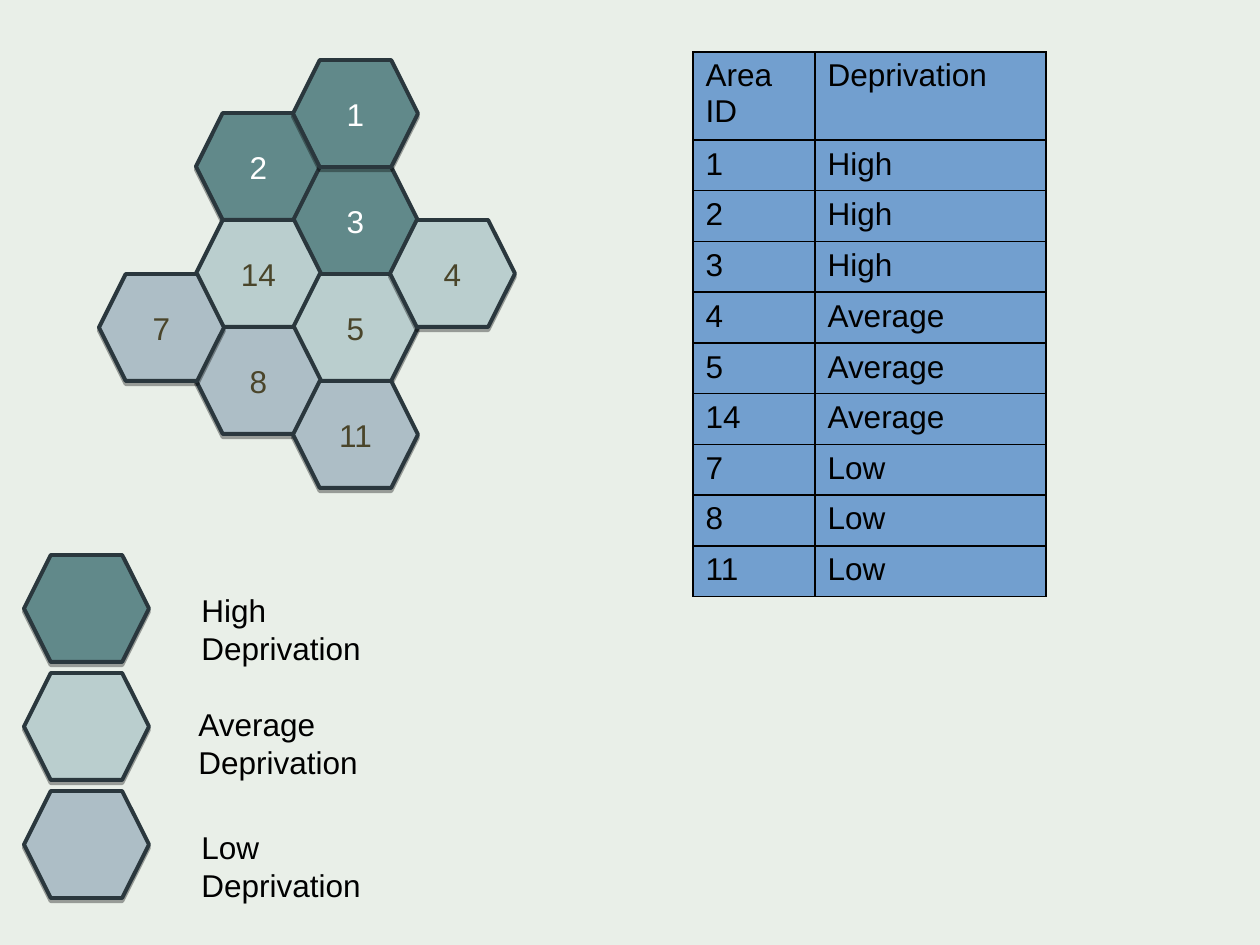
"""Builds a slide with a hexagon map of deprivation, its legend and its data table."""
import pptx
import pptx.util
import pptx.dml.color
import pptx.enum.shapes
import pptx.enum.text
import pptx.oxml
import pptx.oxml.ns

HUES = {
    "back": "E9EFE8", "High": "61898A", "Average": "BACECE", "Low": "ADBEC6",
    "edge": "2A373D", "light": "FFFFFF", "dark": "4A452A", "ink": "000000",
    "cell": "729FCF",
}
LEVELS = {"High": [1, 2, 3], "Average": [4, 5, 14], "Low": [7, 8, 11]}
AREAS = [(2, 1, 1), (3, 2, 2), (1, 2, 0), (14, 1, 3), (5, 2, 4),
         (8, 1, 5), (4, 3, 3), (11, 2, 6), (7, 0, 4)]
KEYS = [("High", 555, 189, 585, 250), ("Average", 673, 186, 699, 300),
        ("Low", 791, 189, 822, 242)]
NS = pptx.oxml.ns.nsdecls("a")


def px(n):
    return pptx.util.Emu(n * 914400 // 126)


def hue(name):
    return pptx.dml.color.RGBColor.from_string(HUES[name])


class Deck:
    def __init__(self, font="Arial", size=18):
        self.font, self.size = font, size
        self.file = pptx.Presentation()
        self.file.slide_width, self.file.slide_height = px(1260), px(945)
        self.slide = self.file.slides.add_slide(self.file.slide_layouts[6])
        self.paint(self.slide.background, "back")

    def paint(self, item, name):
        item.fill.solid()
        item.fill.fore_color.rgb = hue(name)

    def words(self, frame, text, name):
        para = frame.paragraphs[0]
        para.text = text
        para.font.name, para.font.size = self.font, pptx.util.Pt(self.size)
        para.font.color.rgb = hue(name)
        return para

    def hexa(self, x, y, level, text=""):
        shape = self.slide.shapes.add_shape(
            pptx.enum.shapes.MSO_SHAPE.HEXAGON, px(x), px(y), px(125), px(107))
        self.paint(shape, level)
        shape.line.color.rgb = hue("edge")
        shape.line.width = pptx.util.Pt(2.25)
        shape.shadow.inherit = False
        glow = shape._element.spPr.find(pptx.oxml.ns.qn("a:effectLst"))
        glow.append(pptx.oxml.parse_xml(
            f'<a:outerShdw {NS} blurRad="0" dist="22860" dir="5400000" rotWithShape="0">'
            f'<a:srgbClr val="{HUES["ink"]}"><a:alpha val="35000"/></a:srgbClr></a:outerShdw>'))
        if text:
            shape.text_frame.vertical_anchor = pptx.enum.text.MSO_ANCHOR.MIDDLE
            para = self.words(shape.text_frame, text, "light" if level == "High" else "dark")
            para.alignment = pptx.enum.text.PP_ALIGN.CENTER

    def label(self, x, y, wide, text):
        frame = self.slide.shapes.add_textbox(px(x), px(y), px(wide), px(50)).text_frame
        frame.word_wrap = True
        frame.auto_size = pptx.enum.text.MSO_AUTO_SIZE.SHAPE_TO_FIT_TEXT
        self.words(frame, text, "ink")

    def border(self, cell):
        props = cell._tc.get_or_add_tcPr()
        for spot, side in enumerate(("lnL", "lnR", "lnT", "lnB")):
            props.insert(spot, pptx.oxml.parse_xml(
                f'<a:{side} {NS} w="12700"><a:solidFill><a:srgbClr val="{HUES["ink"]}"/>'
                f'</a:solidFill></a:{side}>'))

    def table(self, x, y, wides, highs, rows):
        grid = self.slide.shapes.add_table(
            len(rows), len(wides), px(x), px(y), px(sum(wides)), px(sum(highs))).table
        grid.first_row = grid.horz_banding = False
        for col, wide in zip(grid.columns, wides):
            col.width = px(wide)
        for line, high, texts in zip(grid.rows, highs, rows):
            line.height = px(high)
            for cell, text in zip(line.cells, texts):
                self.paint(cell, "cell")
                self.border(cell)
                self.words(cell.text_frame, text, "ink")


def main():
    deck = Deck()
    ranks = {area: level for level, group in LEVELS.items() for area in group}
    for area, col, row in AREAS:
        deck.hexa(99 + 97 * col, 60 + 107 * row // 2, ranks[area], str(area))
    for level, top, *_ in KEYS:
        deck.hexa(24, top, level)
    for level, _, x, y, wide in KEYS:
        deck.label(x, y, wide, f"{level} Deprivation")
    rows = [("Area ID", "Deprivation")] + [(str(area), level) for area, level in ranks.items()]
    highs = [88] + [50 + i % 2 for i in range(len(ranks))]
    deck.table(693, 52, [122, 231], highs, rows)
    deck.file.save("out.pptx")


if __name__ == "__main__":
    main()
